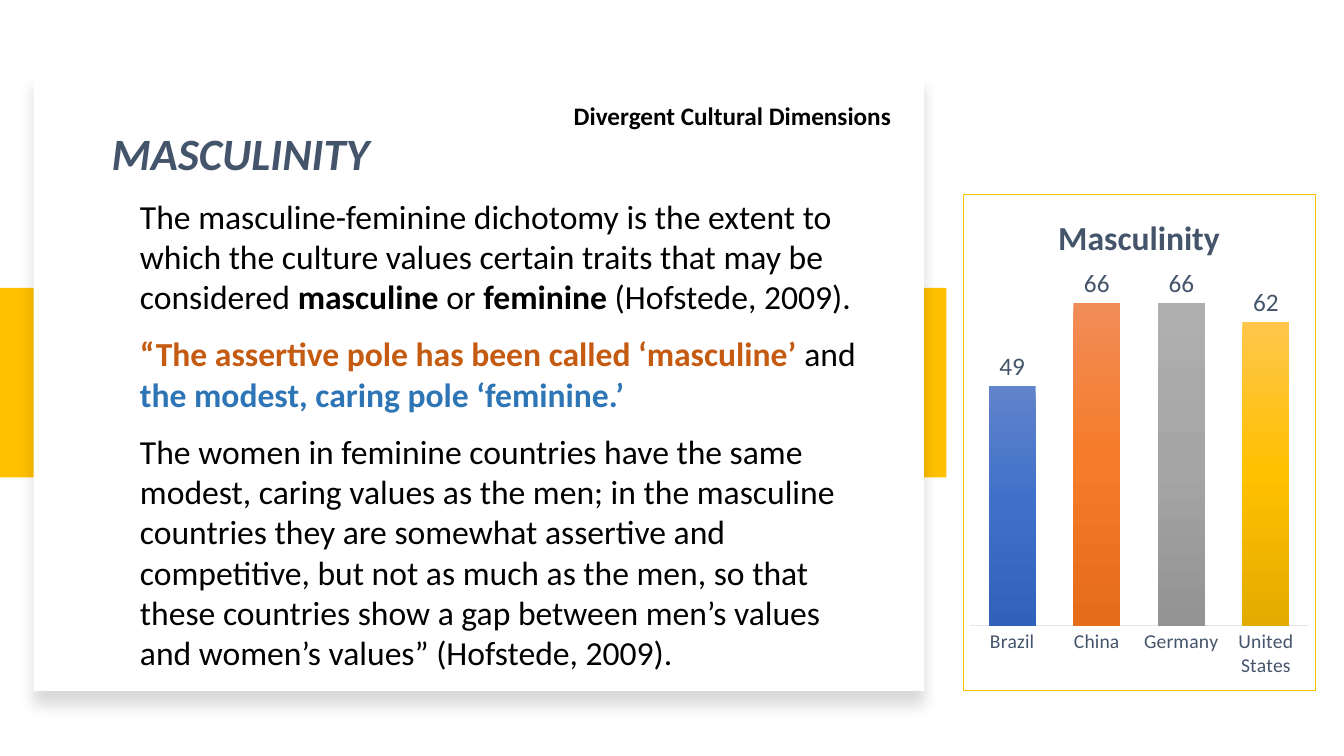
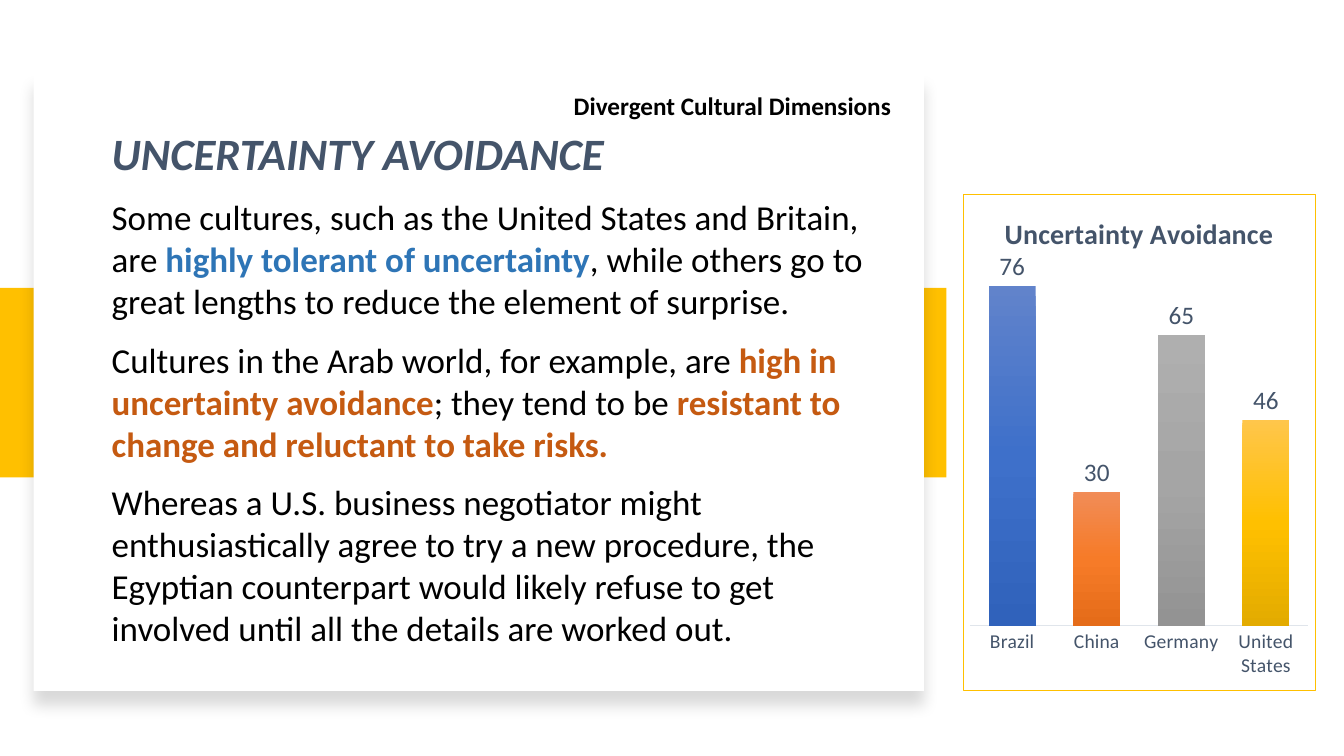
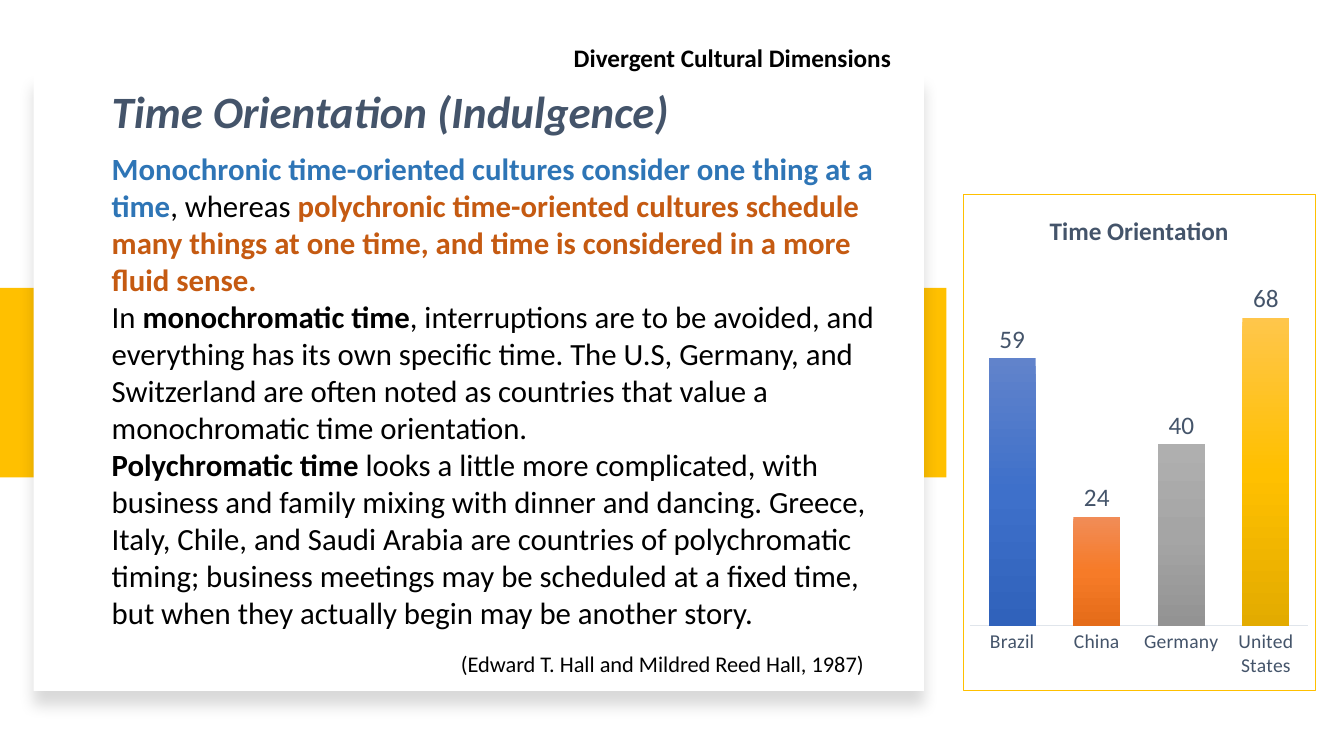
from lxml import etree
from pptx import Presentation
from pptx import util as u
from pptx.chart import data
from pptx.dml import color
from pptx.enum import chart as charts, shapes, text
from pptx.oxml import ns, parse_xml

COLORS = {
    "black": "000000", "white": "FFFFFF", "slate": "44546A", "gold": "FFC000",
    "axis": "E0E5EB", "orange": "C55A11", "blue": "2E75B6",
}
BAR_GRADIENTS = [
    ("6183CB", "3E70CA", "3062BB"),
    ("F18C57", "F67B28", "E56C19"),
    ("AFAFAF", "A5A5A5", "939393"),
    ("FFC64B", "FFC000", "E3AB00"),
]
COUNTRIES = ["Brazil", "China", "Germany", "United States"]
COLUMNS, ROWS = 40, 22.5
PLOT_BOTTOM = 0.87

RUN_STYLES = {
    "plain": {"color": "black", "bold": False},
    "strong": {"color": "black", "bold": True},
    "orange": {"color": "orange", "bold": True},
    "blue": {"color": "blue", "bold": True},
}
HEADER = {"size": 18, "color": "black", "bold": True}
TITLE = {"size": 32, "color": "slate", "bold": True, "italic": True}
SOURCE = {"size": 16, "color": "black"}


def rgb(name):
    return color.RGBColor.from_string(COLORS[name])


def set_all(target, values):
    for name, value in values.items():
        setattr(target, name, value)


class Deck:
    font_name = "Calibri"

    def __init__(self):
        self.presentation = Presentation()
        self.presentation.slide_width = u.Inches(13.33)
        self.presentation.slide_height = u.Inches(7.5)
        self.slide = None

    def place(self, left, top, width, height):
        column = self.presentation.slide_width / COLUMNS
        row = self.presentation.slide_height / ROWS
        return [u.Emu(round(value)) for value in
                (left * column, top * row, width * column, height * row)]

    def style_font(self, font, style):
        values = {"name": self.font_name, **style}
        font.color.rgb = rgb(values.pop("color"))
        if "size" in values:
            values["size"] = u.Pt(values["size"])
        set_all(font, values)

    def rectangle(self, box, fill):
        shape = self.slide.shapes.add_shape(
            shapes.MSO_SHAPE.RECTANGLE, *self.place(*box))
        shape.shadow.inherit = False
        shape.fill.solid()
        shape.fill.fore_color.rgb = rgb(fill)
        shape.line.fill.background()
        return shape

    def card(self, box):
        shape = self.rectangle(box, "white")
        effects = shape._element.spPr.find(ns.qn("a:effectLst"))
        effects.append(parse_xml(
            f'<a:outerShdw {ns.nsdecls("a")} blurRad="{u.Pt(11)}" dist="{u.Pt(10)}" '
            f'dir="5400000" algn="t" rotWithShape="0"><a:srgbClr val="{COLORS["black"]}">'
            '<a:alpha val="15000"/></a:srgbClr></a:outerShdw>'))

    def new_slide(self):
        self.slide = self.presentation.slides.add_slide(
            self.presentation.slide_layouts[6])
        self.rectangle((0, 8.57, 28.17, 5.64), "gold")
        self.card((1, 2.2, 26.5, 18.36))

    def text_box(self, box, paragraphs, style, paragraph_format=None, gap=0, frame_format=None):
        frame = self.slide.shapes.add_textbox(*self.place(*box)).text_frame
        set_all(frame, {"word_wrap": True,
                        "auto_size": text.MSO_AUTO_SIZE.SHAPE_TO_FIT_TEXT,
                        **(frame_format or {})})
        for index, runs in enumerate(paragraphs):
            paragraph = frame.add_paragraph() if index else frame.paragraphs[0]
            set_all(paragraph, paragraph_format or {})
            if index and gap:
                paragraph.space_before = u.Pt(gap)
            for words, kind in runs:
                run = paragraph.add_run()
                run.text = words
                self.style_font(run.font, {**style, **RUN_STYLES.get(kind, {})})

    def header(self, top, height):
        self.text_box(
            (12.69, top, 14.13, height),
            [[("Divergent Cultural Dimensions", None)]], HEADER,
            {"alignment": text.PP_ALIGN.RIGHT, "line_spacing": 0.9,
             "space_after": u.Pt(6)},
            frame_format={"vertical_anchor": text.MSO_ANCHOR.MIDDLE,
                          "auto_size": text.MSO_AUTO_SIZE.NONE})

    def title(self, words, top):
        self.text_box((3.03, top, 20, 1.92), [[(words, None)]], TITLE)

    def body(self, box, paragraphs, size, gap):
        self.text_box(box, paragraphs, {"size": size}, gap=gap)

    def source(self, words):
        self.text_box((8.94, 19.2, 17.07, 1.11), [[(words, None)]], SOURCE,
                      {"alignment": text.PP_ALIGN.RIGHT})

    def column_chart(self, title, title_size, values, maximum, plot_top):
        chart_data = data.CategoryChartData()
        chart_data.categories = COUNTRIES
        chart_data.add_series("Series 1", values)
        chart = self.slide.shapes.add_chart(
            charts.XL_CHART_TYPE.COLUMN_CLUSTERED,
            *self.place(28.65, 5.76, 10.5, 14.79), chart_data).chart
        self.style_font(chart.font, {"size": 18, "color": "black"})
        chart.has_legend = False
        chart.has_title = True
        frame = chart.chart_title.text_frame
        frame.text = title
        self.style_font(frame.paragraphs[0].runs[0].font,
                        {"size": title_size, "color": "slate", "bold": True})
        chart.chart_title.include_in_layout = False

        set_all(chart.value_axis, {
            "minimum_scale": 0, "maximum_scale": maximum,
            "has_major_gridlines": False, "visible": False})
        axis = chart.category_axis
        set_all(axis, {"major_tick_mark": charts.XL_TICK_MARK.NONE,
                       "minor_tick_mark": charts.XL_TICK_MARK.NONE,
                       "has_major_gridlines": False})
        axis.format.line.color.rgb = rgb("axis")
        axis.format.line.width = u.Pt(0.75)
        self.style_font(axis.tick_labels.font, {"size": 14, "color": "slate"})

        plot = chart.plots[0]
        set_all(plot, {"gap_width": 80, "overlap": -50,
                       "vary_by_categories": False, "has_data_labels": True})
        set_all(plot.data_labels, {
            "show_value": True,
            "position": charts.XL_LABEL_POSITION.OUTSIDE_END})
        self.style_font(plot.data_labels.font, {"size": 18, "color": "slate"})
        self.fill_bars(chart)
        self.frame_chart(chart, plot_top)

    def fill_bars(self, chart):
        for index in range(len(BAR_GRADIENTS)):
            fill = chart.series[0].points[index].format.fill
            fill.gradient()
            fill.gradient_angle = 270
        gradients = chart._chartSpace.iter(ns.qn("a:gradFill"))
        for gradient, hues in zip(gradients, BAR_GRADIENTS):
            stops = gradient.find(ns.qn("a:gsLst"))
            for stop in list(stops):
                stops.remove(stop)
            for position, hue in zip((0, 50000, 100000), hues):
                stop = etree.SubElement(stops, ns.qn("a:gs"), pos=str(position))
                etree.SubElement(stop, ns.qn("a:srgbClr"), val=hue)

    def frame_chart(self, chart, plot_top):
        chart_element = chart._chartSpace.find(ns.qn("c:chart"))
        chart_element.addnext(parse_xml(
            f'<c:spPr {ns.nsdecls("c", "a")}><a:solidFill><a:srgbClr val="{COLORS["white"]}"/>'
            f'</a:solidFill><a:ln w="{u.Pt(0.25)}"><a:solidFill>'
            f'<a:srgbClr val="{COLORS["gold"]}"/></a:solidFill></a:ln></c:spPr>'))
        area = chart_element.find(ns.qn("c:plotArea"))
        for layout in area.findall(ns.qn("c:layout")):
            area.remove(layout)
        sizes = {"x": 0.02, "y": plot_top, "w": 0.96,
                 "h": round(PLOT_BOTTOM - plot_top, 2)}
        extent = "".join(f'<c:{key} val="{value}"/>' for key, value in sizes.items())
        area.insert(0, parse_xml(
            f'<c:layout {ns.nsdecls("c")}><c:manualLayout><c:layoutTarget val="inner"/>'
            f'<c:xMode val="edge"/><c:yMode val="edge"/>{extent}'
            '</c:manualLayout></c:layout>'))


SLIDES = [
    {
        "chart": ("Masculinity", 24, (49, 66, 66, 62), 70, 0.18),
        "header": (2.25, 2.49),
        "title": ("MASCULINITY", 3.6),
        "body": ((3.87, 5.67, 22.59, 14.64), [
            [("The masculine-feminine dichotomy is the extent to which the culture values certain traits that may be considered ", "plain"),
             ("masculine ", "strong"), ("or ", "plain"), ("feminine", "strong"),
             (" (Hofstede, 2009).", "plain")],
            [("“The assertive pole has been called ‘masculine’ ", "orange"),
             ("and", "plain"), (" the modest, caring pole ‘feminine.’", "blue")],
            [("The women in feminine countries have the same modest, caring values as the men; in the masculine countries they are somewhat assertive and competitive, but not as much as the men, so that these countries show a gap between men’s values and women’s values” (Hofstede, 2009).", "plain")],
        ], 24, 12),
    },
    {
        "chart": ("Uncertainty Avoidance", 20, (76, 30, 65, 46), 80, 0.15),
        "header": (1.95, 2.49),
        "title": ("UNCERTAINTY AVOIDANCE", 3.6),
        "body": ((3.03, 5.67, 22.95, 13.92), [
            [("Some cultures, such as the United States and Britain, are ", "plain"),
             ("highly tolerant of uncertainty", "blue"),
             (", while others go to great lengths to reduce the element of surprise.", "plain")],
            [("Cultures in the Arab world, for example, are ", "plain"),
             ("high in uncertainty avoidance", "orange"),
             ("; they tend to be ", "plain"),
             ("resistant to change and reluctant to take risks.", "orange")],
            [("Whereas a U.S. business negotiator might enthusiastically agree to try a new procedure, the Egyptian counterpart would likely refuse to get involved until all the details are worked out.", "plain")],
        ], 25, 12),
    },
    {
        "chart": ("Time Orientation", 18, (59, 24, 40, 68), 80, 0.14),
        "header": (0.87, 1.8),
        "title": ("Time Orientation (Indulgence)", 2.34),
        "body": ((3.03, 4.32, 23.79, 14.73), [
            [("Monochronic time-oriented cultures consider one thing at a time", "blue"),
             (", whereas ", "plain"),
             ("polychronic time-oriented cultures schedule many things at one time, and time is considered in a more fluid sense.", "orange")],
            [("In ", "plain"), ("monochromatic time", "strong"),
             (", interruptions are to be avoided, and everything has its own specific time. The U.S, Germany, and Switzerland are often noted as countries that value a monochromatic time orientation.", "plain")],
            [("Polychromatic time ", "strong"),
             ("looks a little more complicated, with business and family mixing with dinner and dancing. Greece, Italy, Chile, and Saudi Arabia are countries of polychromatic timing; business meetings may be scheduled at a fixed time, but when they actually begin may be another story.", "plain")],
        ], 22, 0),
        "source": ("(Edward T. Hall and Mildred Reed Hall, 1987)",),
    },
]


def main():
    deck = Deck()
    for content in SLIDES:
        deck.new_slide()
        deck.column_chart(*content["chart"])
        deck.header(*content["header"])
        deck.body(*content["body"])
        deck.title(*content["title"])
        if "source" in content:
            deck.source(*content["source"])
    deck.presentation.save("out.pptx")


if __name__ == "__main__":
    main()
